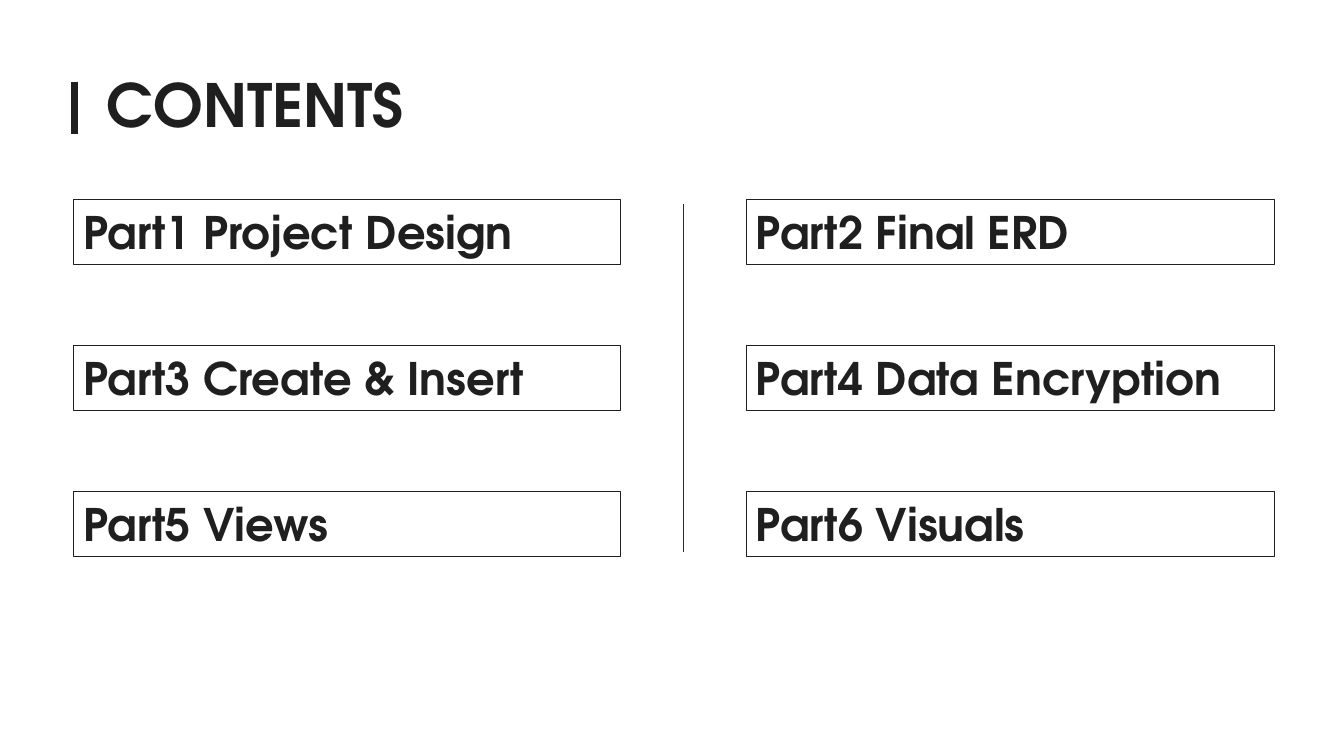
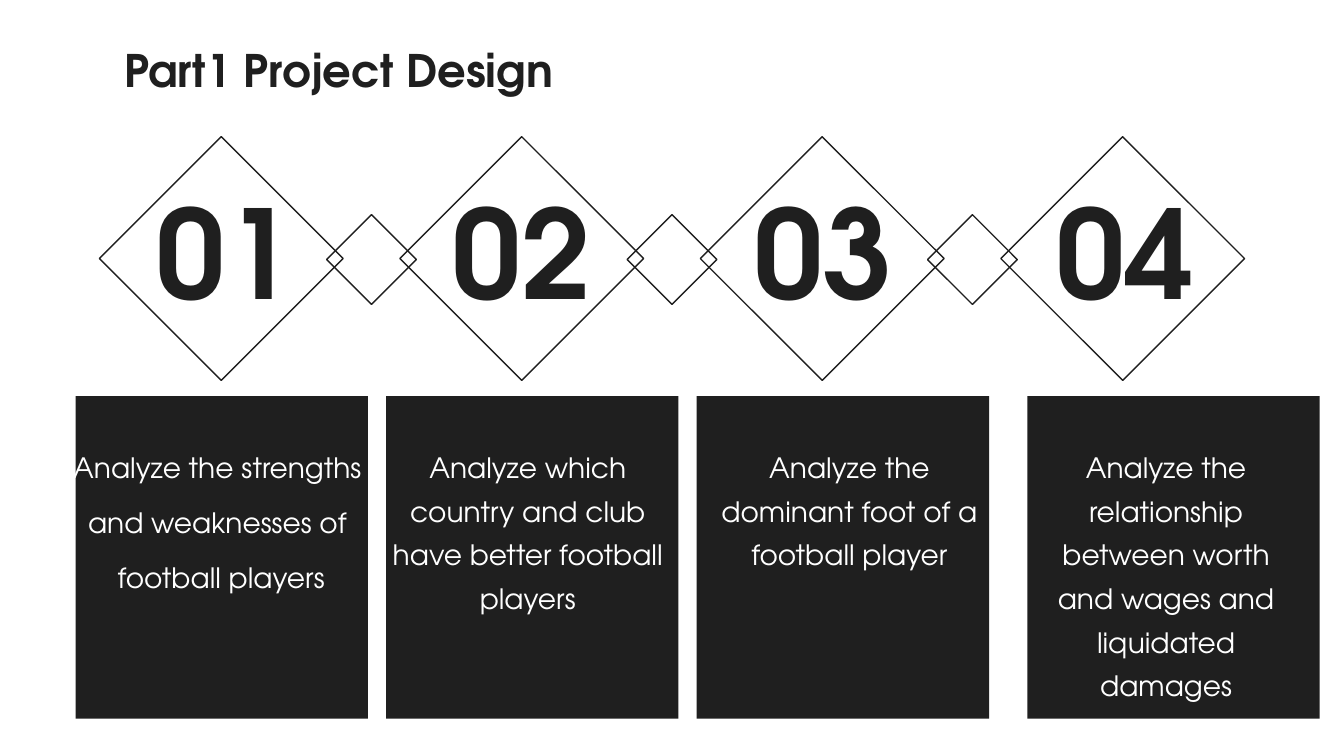
from lxml import etree
from pptx import Presentation
from pptx.dml.color import RGBColor
from pptx.enum import shapes, text
from pptx.oxml.ns import qn
from pptx.util import Inches, Pt

FONT = "TeX Gyre Adventor"
INK, NAVY, WHITE = "1F1F1F", "103154", "FFFFFF"
HEADING = dict(size=32, bold=True)


def paint(target, color):
    """Set a fill or font colour from a hex string."""
    if hasattr(target, "solid"):
        target.solid()
        target = target.fore_color
    target.rgb = RGBColor.from_string(color)


def write(sp, lines, size, bold=False, color=INK, align=text.PP_ALIGN.LEFT,
          wrap=True, spacing=None, before=0):
    """Fill a shape with paragraphs of one style and fit its height to them."""
    tf = sp.text_frame
    tf.word_wrap = wrap
    tf.auto_size = text.MSO_AUTO_SIZE.SHAPE_TO_FIT_TEXT
    tf.vertical_anchor = text.MSO_ANCHOR.TOP
    for i, line in enumerate(lines):
        p = tf.add_paragraph() if i else tf.paragraphs[0]
        p.text = line
        p.alignment = align
        if spacing:
            p.line_spacing = spacing
        if i and before:
            p.space_before = Pt(before)
        p.font.name, p.font.size, p.font.bold = FONT, Pt(size), bold
        paint(p.font.color, color)
    return tf


prs = Presentation()
prs.slide_width, prs.slide_height = Inches(13.33), Inches(7.5)
blank = prs.slide_layouts[6]

# Contents
s = prs.slides.add_slide(blank)
title = s.shapes.add_textbox(Inches(0.96), Inches(0.62), Inches(3.18), Inches(0.82))
write(title, ["CONTENTS"], 42.6, bold=True, wrap=False)

for x, top, bottom, color, width in [(0.74, 0.81, 1.33, INK, 4.5),
                                     (6.78, 2.02, 5.48, NAVY, 1)]:
    rule = s.shapes.add_connector(shapes.MSO_CONNECTOR.STRAIGHT,
                                  Inches(x), Inches(top), Inches(x), Inches(bottom))
    paint(rule.line.fill, color)
    rule.line.width = Pt(width)
    etree.SubElement(rule._element.spPr, qn("a:effectLst"))

parts = ["Project Design", "Final ERD", "Create & Insert",
         "Data Encryption", "Views", "Visuals"]
columns = [(0.73, 5.42), (7.4, 5.24)]
for i, part in enumerate(parts):
    row, col = divmod(i, 2)
    left, width = columns[col]
    sp = s.shapes.add_shape(shapes.MSO_SHAPE.RECTANGLE, Inches(left),
                            Inches(1.98 + 1.45 * row), Inches(width), Inches(0.64))
    sp.shadow.inherit = False
    sp.fill.background()
    paint(sp.line.fill, INK)
    sp.line.width = Pt(0.75)
    write(sp, [f"Part{i + 1} {part}"], **HEADING)

# Project design
s = prs.slides.add_slide(blank)
links = [(3.37 + 2.98 * i, 2.26, 0.63) for i in range(3)]
steps = [(1.34 + 2.98 * i, 1.71, 1.71) for i in range(4)]
for left, top, side in links + steps:
    diamond = s.shapes.add_shape(shapes.MSO_SHAPE.RECTANGLE, Inches(left), Inches(top),
                                 Inches(side), Inches(side))
    diamond.rotation = 315
    diamond.shadow.inherit = False
    diamond.fill.background()
    paint(diamond.line.fill, INK)
    diamond.line.width = Pt(1)

for i, left in enumerate([1.45, 4.38, 7.38, 10.37], 1):
    number = s.shapes.add_textbox(Inches(left), Inches(1.7), Inches(1.58), Inches(1.58))
    write(number, [f"{i:02}"], 88, bold=True, align=text.PP_ALIGN.CENTER, wrap=False)

title = s.shapes.add_textbox(Inches(1.1), Inches(0.3), Inches(5.32), Inches(0.72))
tf = write(title, ["Part1 Project Design"], spacing=1.1, **HEADING)
tf.vertical_anchor = text.MSO_ANCHOR.MIDDLE
tf.margin_left = tf.margin_right = Inches(0.13)
tf.margin_top = tf.margin_bottom = Inches(0.07)

# Card left, text left, text width, text height, paragraphs
cards = [
    (0.75, 0.61, 3.17, 2.71,
     ["Analyze the strengths ", "and weaknesses of ", "football players"]),
    (3.83, 3.65, 3.17, 3.12,
     ["Analyze which country and club have better football players"]),
    (6.91, 6.94, 2.97, 2.69,
     ["Analyze the dominant foot of a football player"]),
    (10.19, 10.19, 2.75, 4,
     ["Analyze the relationship between worth and wages and liquidated damages"]),
]
for card_left, text_left, width, height, lines in cards:
    card = s.shapes.add_shape(shapes.MSO_SHAPE.RECTANGLE, Inches(card_left), Inches(3.93),
                              Inches(2.9), Inches(3.2))
    card.shadow.inherit = False
    paint(card.fill, INK)
    card.line.fill.background()
    goal = s.shapes.add_textbox(Inches(text_left), Inches(4.32), Inches(width), Inches(height))
    write(goal, lines, 20, color=WHITE, align=text.PP_ALIGN.CENTER, spacing=1.3, before=8)

prs.save("out.pptx")
